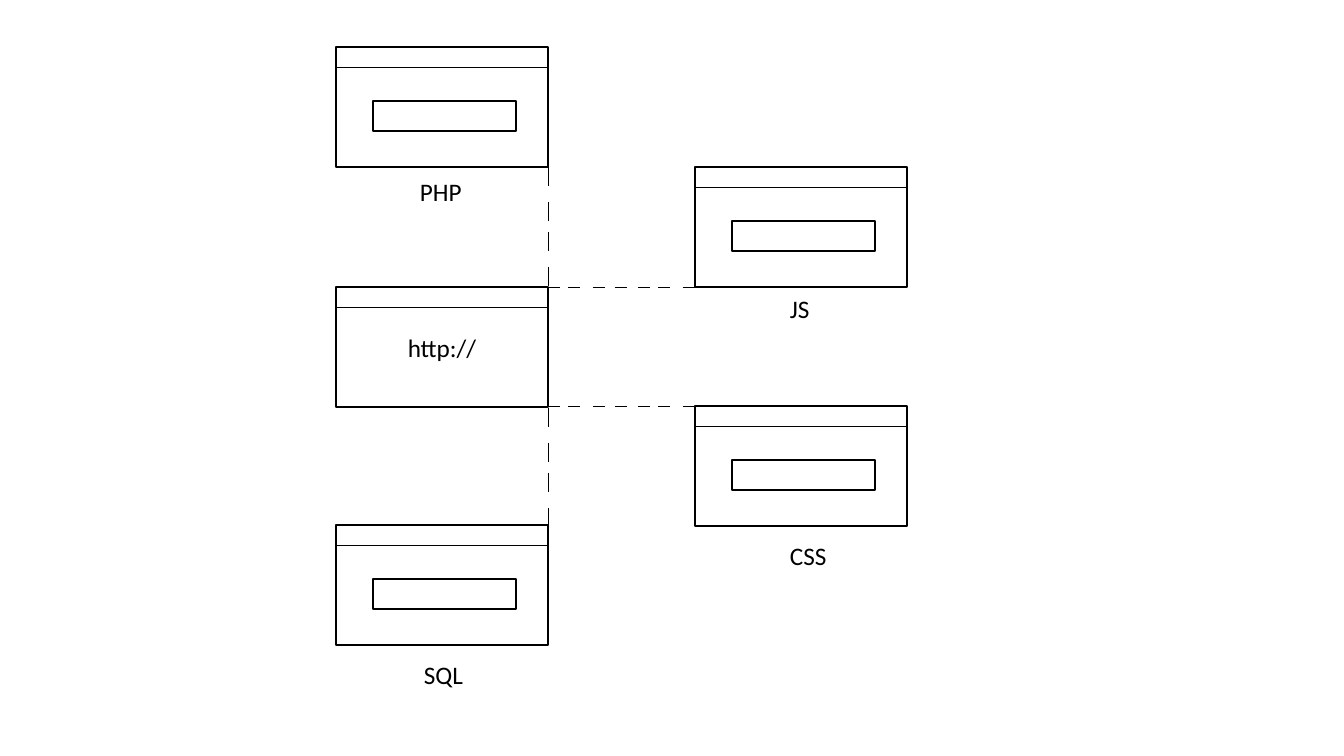
from lxml import etree
from pptx import Presentation
from pptx.dml.color import RGBColor
from pptx.enum.shapes import MSO_CONNECTOR, MSO_SHAPE
from pptx.enum.text import MSO_ANCHOR, MSO_AUTO_SIZE, PP_ALIGN
from pptx.oxml.ns import qn
from pptx.util import Pt

PROCESS = MSO_SHAPE.FLOWCHART_PROCESS
STRAIGHT = MSO_CONNECTOR.STRAIGHT
MIDDLE = MSO_ANCHOR.MIDDLE
CENTER = PP_ALIGN.CENTER
GROW = MSO_AUTO_SIZE.SHAPE_TO_FIT_TEXT

COLORS = {"paper": "FFFFFF", "ink": "000000"}
FONT = "Calibri"
SCALE = 914400 / 100.8  # EMU per pixel

WINDOW_WIDTH, WINDOW_HEIGHT, BAR_HEIGHT = 212, 120, 20
LEFT_COLUMN, RIGHT_COLUMN = 336, 695
LEFT_EDGE = LEFT_COLUMN + WINDOW_WIDTH

# Dash starts along each link, and dash lengths
ACROSS_STARTS, ACROSS_DASH = (0, 20, 45, 67, 90, 110, 135), 12
DOWN_STARTS, DOWN_DASH = (0, 35, 65, 100), 19


def emu(*pixels):
    return [round(pixel * SCALE) for pixel in pixels]


def color(name):
    return RGBColor.from_string(COLORS[name])


def style_text(paragraph, text):
    paragraph.text = text
    paragraph.font.name = FONT
    paragraph.font.size = Pt(18)
    paragraph.font.color.rgb = color("ink")


def add_box(slide, left, top, width, height):
    box = slide.shapes.add_shape(PROCESS, *emu(left, top, width, height))
    box.shadow.inherit = False
    box.fill.solid()
    box.fill.fore_color.rgb = color("paper")
    box.line.color.rgb = color("ink")
    box.line.width = Pt(1)
    return box


def add_line(slide, left, top, right, bottom):
    line = slide.shapes.add_connector(STRAIGHT, *emu(left, top, right, bottom))
    line.line.color.rgb = color("ink")
    line.line.width = Pt(0.5)
    etree.SubElement(line._element.spPr, qn("a:effectLst"))


def add_window(slide, left, top, address=None):
    """Browser window with a title bar, holding an address or an empty field."""
    window = add_box(slide, left, top, WINDOW_WIDTH, WINDOW_HEIGHT)
    bar_bottom = top + BAR_HEIGHT
    add_line(slide, left, bar_bottom, left + WINDOW_WIDTH, bar_bottom)
    if address:
        window.text_frame.vertical_anchor = MIDDLE
        paragraph = window.text_frame.paragraphs[0]
        paragraph.alignment = CENTER
        style_text(paragraph, address)
    else:
        add_box(slide, left + 37, top + 54, 143, 30)


def add_label(slide, text, left, top, width, height):
    label = slide.shapes.add_textbox(*emu(left, top, width, height))
    label.text_frame.word_wrap = False
    label.text_frame.auto_size = GROW
    style_text(label.text_frame.paragraphs[0], text)


def add_link_across(slide, left, top):
    for start in ACROSS_STARTS:
        add_line(slide, left + start, top, left + start + ACROSS_DASH, top)


def add_link_down(slide, left, top):
    for start in DOWN_STARTS:
        add_line(slide, left, top + start, left, top + start + DOWN_DASH)


def build_diagram(slide):
    # Central page, then the technologies around it
    add_window(slide, LEFT_COLUMN, 287, "http://")
    for left, top in ((RIGHT_COLUMN, 167), (RIGHT_COLUMN, 406),
                      (LEFT_COLUMN, 47), (LEFT_COLUMN, 525)):
        add_window(slide, left, top)

    # Dashed links
    for top in (287, 406):
        add_link_across(slide, LEFT_EDGE, top)
    for top in (167, 408):
        add_link_down(slide, LEFT_EDGE, top)

    # Captions
    for text, *place in (("JS", 780, 288, 40, 40),
                         ("CSS", 780, 535, 57, 40),
                         ("PHP", 410, 171, 62, 40),
                         ("SQL", 414, 654, 59, 40)):
        add_label(slide, text, *place)


presentation = Presentation()
presentation.slide_width, presentation.slide_height = emu(1344, 756)
build_diagram(presentation.slides.add_slide(presentation.slide_layouts[6]))
presentation.save("out.pptx")
